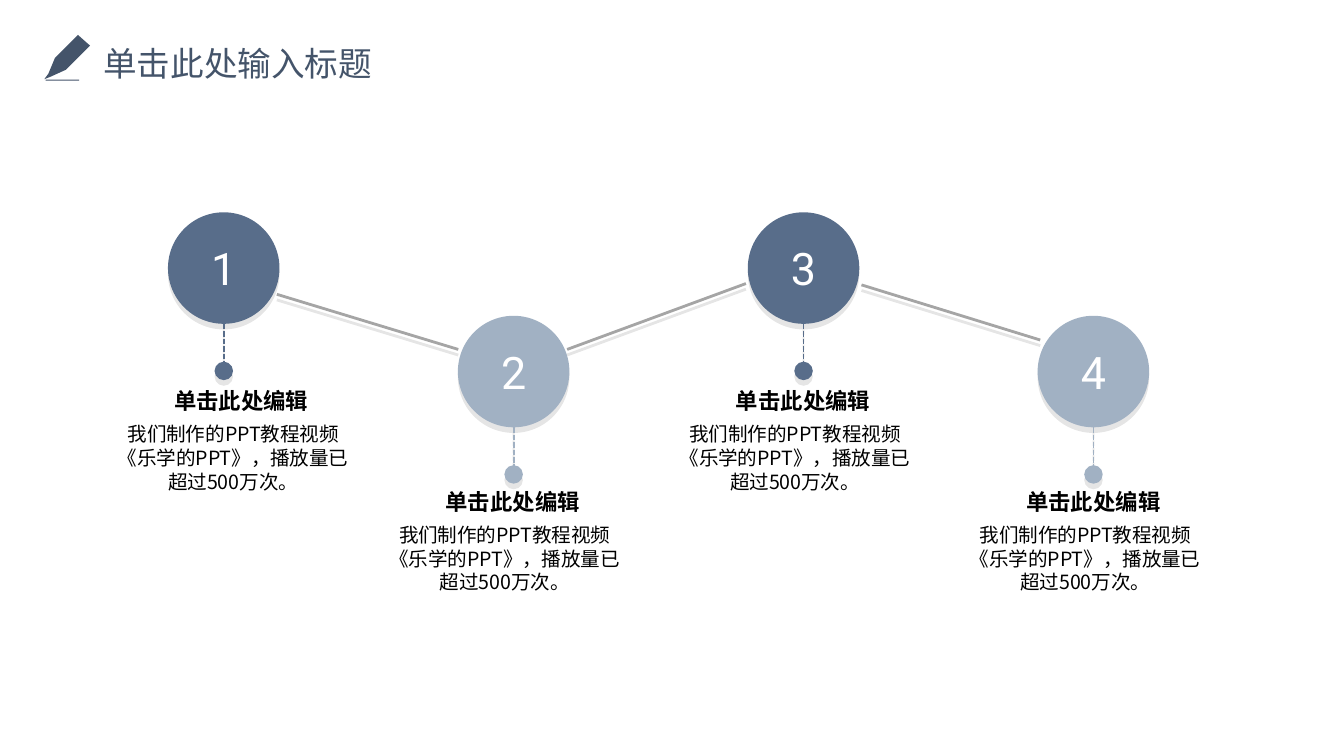
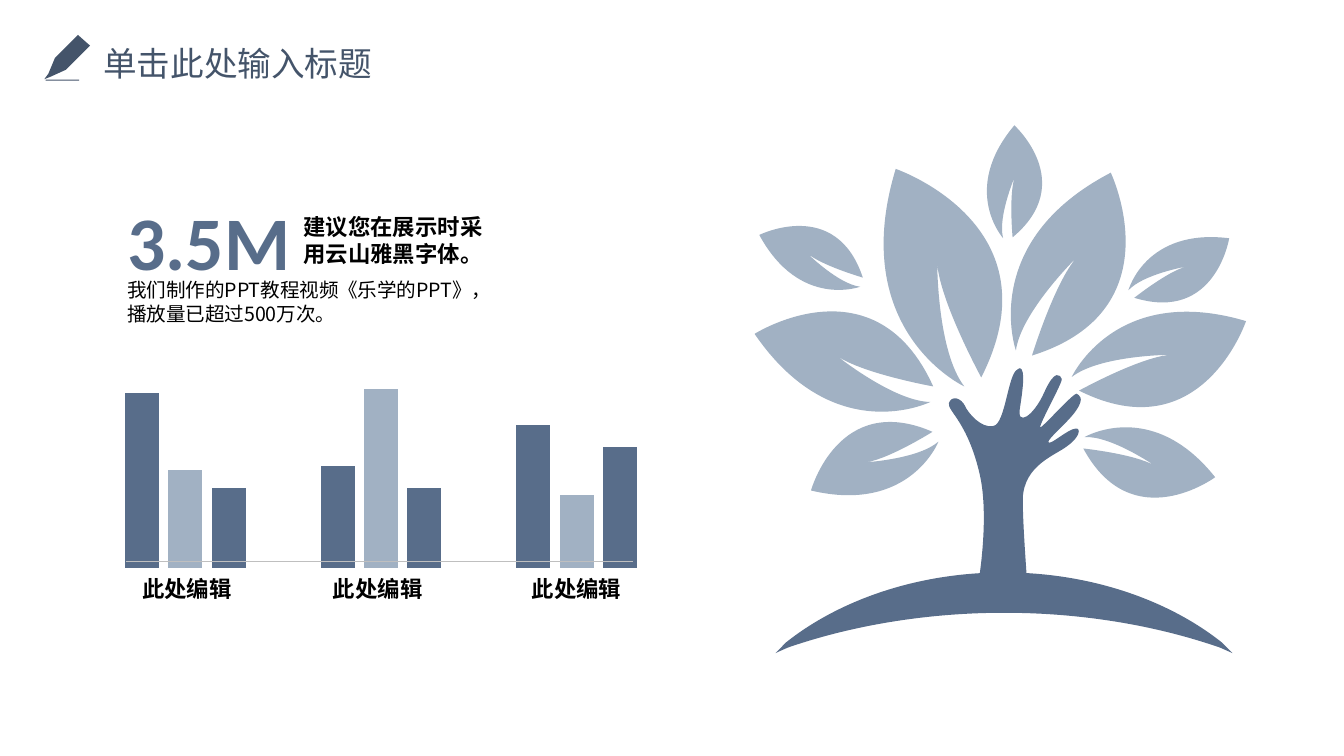
from lxml import etree
from pptx import Presentation
from pptx.chart.data import CategoryChartData
from pptx.dml.color import RGBColor
from pptx.enum.chart import XL_CHART_TYPE
from pptx.enum.dml import MSO_LINE
from pptx.enum.shapes import MSO_CONNECTOR, MSO_SHAPE
from pptx.enum.text import MSO_ANCHOR, PP_ALIGN
from pptx.oxml.ns import qn
from pptx.util import Pt

OVAL = MSO_SHAPE.OVAL
STRAIGHT = MSO_CONNECTOR.STRAIGHT
COLUMN = XL_CHART_TYPE.COLUMN_CLUSTERED
DASH = MSO_LINE.SQUARE_DOT
MIDDLE, TOP = MSO_ANCHOR.MIDDLE, MSO_ANCHOR.TOP
LEFT, CENTER = PP_ALIGN.LEFT, PP_ALIGN.CENTER

COLS, ROWS = 100, 56.25
CELL = 91440
COLORS = {
    "dark": "586D8A", "light": "A1B1C3", "title": "44546A",
    "link": "A5A5A5", "rule": "BFBFBF", "text": "000000", "white": "FFFFFF",
}
HAN = "Noto Sans CJK SC"
STYLES = {
    "title": {"size": Pt(18), "name": "TeX Gyre Adventor"},
    "head": {"size": Pt(12), "name": HAN, "bold": True},
    "body": {"size": Pt(10.5), "name": HAN},
    "num": {"size": Pt(24), "name": "Roboto"},
    "big": {"size": Pt(40.5), "name": "Calibri", "bold": True},
}
PITCH = {"title": Pt(25), "head": Pt(14.4), "body": Pt(12.7)}

PEN = """M 3.4 5.93 L 5.9 5.93 L 5.9 6 L 3.4 6 Z
M 5.8 2.6 L 6.7 3.4 L 4.9 5.2 L 3.8 5.7 L 3.3 5.9 L 3.6 5.5 L 4.1 4.3 Z"""
LEAF = """M 1 .51 C 1 .51 .69 1 0 .69 C 0 .69 .34 0 .97 .43
C .97 .43 .61 .57 .44 .56 C .44 .56 .83 .61 1 .51 Z"""
HAND = """M 75.9 27.4 C 76.3 27.5 76.1 29 75.9 30.3
C 75.6 31.8 76.9 31 77.7 29.2 C 78.5 27.4 78.9 27.9 79 28.2
C 79.1 28.4 77.3 31.6 77.4 31.8 C 77.5 31.9 79.8 29.3 80.1 29.3
C 80.3 29.4 80.7 29.6 80.1 30.5 C 79.6 31.3 77.9 32.7 78 32.9
C 78.1 33.2 79.5 31.9 80 31.9 C 80.5 31.8 80.3 32.6 79.4 33.2
C 78.5 33.9 76.2 34.6 76.1 37.1 C 76.1 38.8 76.3 41.5 76.4 43
L 76.4 43.1 L 72.8 43.1 L 72.9 42.7 C 73.2 40.5 73.4 37.5 72.9 35.3
C 72 31.4 70.5 30.6 70.6 30 C 70.8 29.4 71.5 29.6 71.8 30.2
C 72 30.7 73 31.9 73.9 31.7 C 74.8 31.6 75 27.8 75.7 27.5
C 75.8 27.4 75.9 27.4 75.9 27.4 Z"""
HILL = """M 74.7 42.6 C 81.2 42.6 87 44.7 90.9 47.8 L 91.7 48.6
L 90.8 48.2 C 86.2 46.6 80.7 45.6 74.7 45.6
C 68.8 45.6 63.2 46.6 58.6 48.2 L 57.7 48.6 L 58.5 47.8
C 62.4 44.7 68.2 42.6 74.7 42.6 Z"""
LEAVES = [
    (80.1, 29.9, 10, 207.3), (56.5, 19.3, 13.8, 31.4),
    (62.5, 12.1, 16.7, 82.7), (72.9, 13, 14.75, 128.3),
    (79.7, 20.6, 13.4, 172.4), (59.9, 28.7, 10, 349.2),
    (56.6, 14.6, 8.3, 37.4), (71.7, 9.6, 8.3, 105.9),
    (83.8, 16.3, 8.3, 162.9),
]
HEAD = "单击此处编辑"
BODY = "我们制作的PPT教程视频《乐学的PPT》，播放量已超过500万次。"


def cells(*nums):
    return [round(num * CELL) for num in nums]


def tint(name):
    return RGBColor.from_string(COLORS[name])


class Deck:
    """Hold the shared style and the current slide."""

    def __init__(self):
        self.prs = Presentation()
        self.prs.slide_width, self.prs.slide_height = cells(COLS, ROWS)

    def page(self, title):
        layout = self.prs.slide_layouts[6]
        self.shapes = self.prs.slides.add_slide(layout).shapes
        self.draw(PEN, "title")
        self.text((6.7, 2.2, 34.7, 4.1), title, "title", "title")

    def put(self, frame, words, style, color, align=LEFT, anchor=TOP):
        frame.vertical_anchor = anchor
        para = frame.paragraphs[0]
        para.alignment = align
        if style in PITCH:
            para.line_spacing = PITCH[style]
        run = para.add_run()
        run.text = words
        for key, value in STYLES[style].items():
            setattr(run.font, key, value)
        run.font.color.rgb = tint(color)
        east = etree.SubElement(run._r.get_or_add_rPr(), qn("a:ea"))
        east.set("typeface", STYLES[style]["name"])

    def text(self, box, words, style, color="text", align=LEFT, wrap=True, pad=1):
        frame = self.shapes.add_textbox(*cells(*box)).text_frame
        frame.word_wrap = wrap
        frame.margin_left = cells(pad)[0]
        self.put(frame, words, style, color, align)

    def shade(self, props):
        effects = props.find(qn("a:effectLst"))
        shadow = etree.SubElement(effects, qn("a:outerShdw"), dist="38100",
                                  dir="5400000", algn="t", rotWithShape="0")
        color = etree.SubElement(shadow, qn("a:srgbClr"), val=COLORS["text"])
        etree.SubElement(color, qn("a:alpha"), val="10000")

    def line(self, ends, color, width, dot=False, shade=True):
        link = self.shapes.add_connector(STRAIGHT, *cells(*ends))
        link.line.color.rgb = tint(color)
        link.line.width = Pt(width)
        props = link._element.spPr
        if dot:
            link.line.dash_style = DASH
            etree.SubElement(props.find(qn("a:ln")), qn("a:tailEnd"),
                             type="oval", w="lg", len="lg")
        etree.SubElement(props, qn("a:effectLst"))
        if shade:
            self.shade(props)

    def paint(self, shape, color):
        shape.shadow.inherit = False
        shape.fill.solid()
        shape.fill.fore_color.rgb = tint(color)
        shape.line.fill.background()

    def disc(self, x, y, size, words, color):
        disc = self.shapes.add_shape(OVAL, *cells(x, y, size, size))
        self.paint(disc, color)
        self.shade(disc._element.spPr)
        self.put(disc.text_frame, words, "num", "white", CENTER, MIDDLE)

    def draw(self, outline, color, left=0, top=0, size=1, turn=0):
        pen, kinds = None, []
        for loop in outline.split("Z")[:-1]:
            points = []
            for step in loop.replace("L", "|L").replace("C", "|C").split("|"):
                kind, *nums = step.split()
                nums = [float(num) * size for num in nums]
                pairs = list(zip(nums[::2], nums[1::2]))
                points += [cells(left + x, top + y) for x, y in pairs]
                kinds += [kind] * len(pairs)
            if pen is None:
                pen = self.shapes.build_freeform(*points[0], scale=1.0)
            else:
                pen.move_to(*points[0])
            pen.add_line_segments(points[1:], close=True)
        shape = pen.convert_to_shape()
        nodes = list(shape._element.iter(qn("a:moveTo"), qn("a:lnTo")))
        curved = [node for node, kind in zip(nodes, kinds) if kind == "C"]
        for first, *rest in zip(curved[::3], curved[1::3], curved[2::3]):
            curve = etree.Element(qn("a:cubicBezTo"))
            first.addprevious(curve)
            for node in (first, *rest):
                curve.append(node[0])
                node.getparent().remove(node)
        self.paint(shape, color)
        shape.rotation = turn

    def chart(self, box, cats, rows):
        data = CategoryChartData()
        data.categories = cats
        for num, (vals, _) in enumerate(rows, 1):
            data.add_series(f"Series {num}", vals)
        chart = self.shapes.add_chart(COLUMN, *cells(*box), data).chart
        chart.has_legend = chart.has_title = False
        for key, value in {"name": "Calibri", "size": Pt(10)}.items():
            setattr(chart.font, key, value)
        chart.font.color.rgb = tint("text")
        axis = chart.value_axis
        axis.has_major_gridlines = False
        axis.minimum_scale, axis.maximum_scale = 0, 114
        axis.visible = chart.category_axis.visible = False
        plot = chart.plots[0]
        plot.gap_width, plot.overlap = 219, -27
        plot.vary_by_categories = False
        for bars, (_, color) in zip(plot.series, rows):
            bars.format.fill.solid()
            bars.format.fill.fore_color.rgb = tint(color)


def steps(deck):
    deck.page("单击此处输入标题")
    for ends in [(20.6, 21.9, 34.1, 26), (42.2, 26, 55.5, 21.1),
                 (64.1, 21.2, 77.4, 25.3)]:
        deck.line(ends, "link", 1.5)
    size = 8.3
    for num, left in enumerate([7.6, 27.8, 49.4, 71]):
        low = num % 2
        x, y = 12.5 + 21.57 * num, 23.5 if low else 15.8
        color = "light" if low else "dark"
        mid, top = x + size / 2, 35.8 if low else 28.3
        deck.disc(x, y, size, str(num + 1), color)
        deck.line((mid, y + size, mid, y + 11.8), color, 1, dot=True)
        deck.text((left, top, 19.5, 2.8), HEAD, "head", align=CENTER, pad=2.2)
        deck.text((left, top + 2.6, 19.5, 6.3), BODY, "body", align=CENTER)


def growth(deck):
    deck.page("单击此处输入标题")
    deck.chart((5.6, 26.8, 45.5, 15.8), ["1", "2", "3"], [
        ((98, 57, 80), "dark"), ((55, 100, 41), "light"), ((45, 45, 68), "dark")])
    for left in (9.5, 23.7, 38.5):
        deck.text((left, 42.3, 8.8, 3), "此处编辑", "head", align=CENTER, wrap=False)
    deck.text((8.5, 14, 14.3, 7.8), "3.5M", "big", "dark", wrap=False)
    deck.line((9.4, 41.8, 47.1, 41.8), "rule", 0.5, shade=False)
    for left, top, size, turn in LEAVES:
        deck.draw(LEAF, "light", left, top, size, turn)
    deck.draw(HAND, "dark")
    deck.draw(HILL, "dark")
    deck.text((21.6, 15.4, 16.3, 5), "建议您在展示时采用云山雅黑字体。", "head")
    deck.text((8.5, 20.2, 28.6, 4.5), BODY, "body")


def main():
    deck = Deck()
    steps(deck)
    growth(deck)
    deck.prs.save("out.pptx")


if __name__ == "__main__":
    main()
